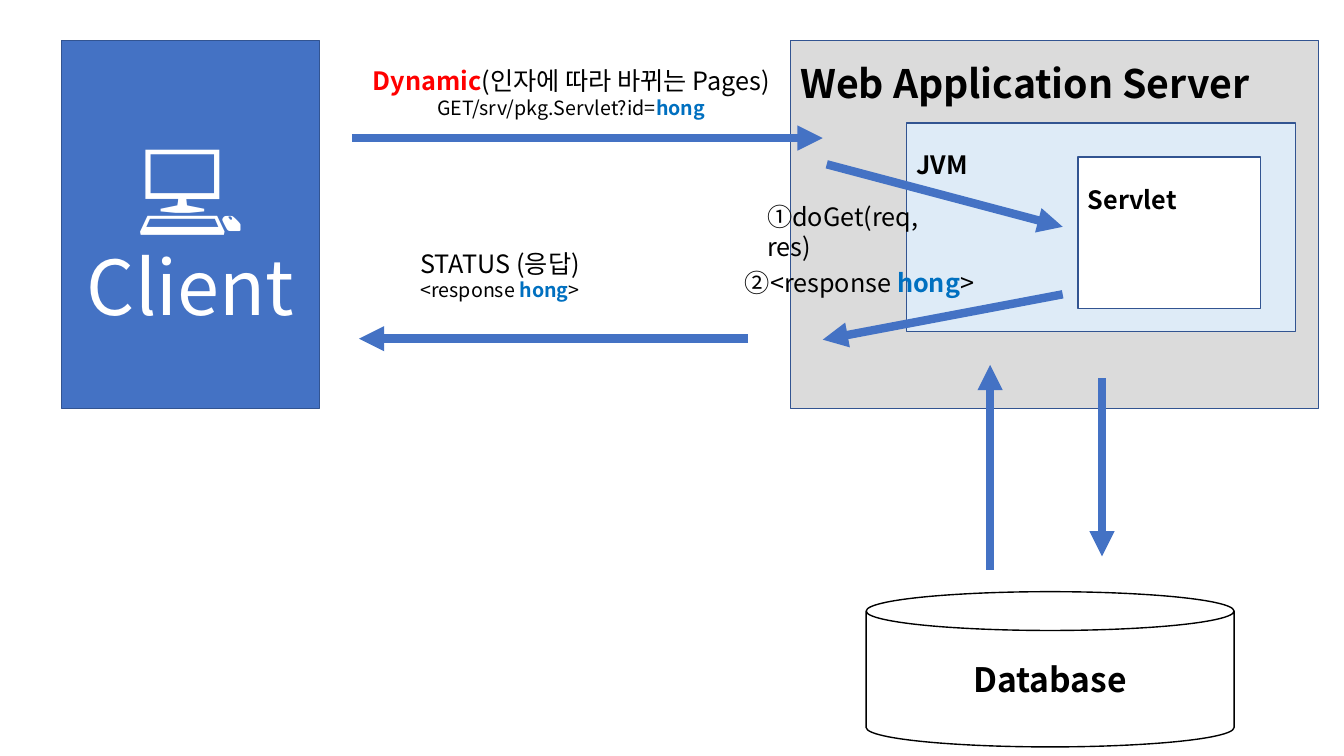
from lxml import etree
from pptx import Presentation
from pptx.dml.color import RGBColor
from pptx.enum.shapes import MSO_CONNECTOR, MSO_SHAPE
from pptx.enum.text import MSO_ANCHOR, PP_ALIGN
from pptx.oxml.ns import qn
from pptx.util import Inches, Pt

RECT, CAN = MSO_SHAPE.RECTANGLE, MSO_SHAPE.CAN
LINE = MSO_CONNECTOR.STRAIGHT
TOP, MID = MSO_ANCHOR.TOP, MSO_ANCHOR.MIDDLE
LEFT, CENTER = PP_ALIGN.LEFT, PP_ALIGN.CENTER
FONT = "Noto Sans CJK KR"
HEX = {
    "black": "000000", "white": "FFFFFF", "red": "FF0000", "link": "0070C0",
    "blue": "4472C4", "edge": "325491", "gray": "DBDBDB", "pale": "DEEBF7",
}


def color(name):
    return RGBColor.from_string(HEX[name])


def write(frame, *lines, size=18, tint="black", bold=False, align=LEFT,
          anchor=TOP, wrap=True, inset=0.05):
    frame.word_wrap = wrap
    frame.vertical_anchor = anchor
    frame.margin_top = Inches(inset)
    for i, line in enumerate(lines):
        para = frame.paragraphs[0] if i == 0 else frame.add_paragraph()
        para.alignment = align
        for text, form in line:
            run = para.add_run()
            run.text = text
            font = run.font
            font.name = FONT
            font.size = Pt(form.get("size", size))
            font.bold = form.get("bold", bold)
            font.color.rgb = color(form.get("tint", tint))
            east = etree.SubElement(run._r.get_or_add_rPr(), qn("a:ea"))
            east.set("typeface", FONT)


def block(slide, box, fill, *lines, kind=RECT, edge="edge", **form):
    shape = slide.shapes.add_shape(kind, *map(Inches, box))
    shape.shadow.inherit = False
    shape.fill.solid()
    shape.fill.fore_color.rgb = color(fill)
    shape.line.color.rgb = color(edge)
    shape.line.width = Pt(1)
    write(shape.text_frame, *lines, **form)


def label(slide, box, *lines, **form):
    shape = slide.shapes.add_textbox(*map(Inches, box))
    write(shape.text_frame, *lines, **form)


def arrow(slide, start, end):
    link = slide.shapes.add_connector(LINE, *map(Inches, start + end))
    link.line.color.rgb = color("blue")
    link.line.width = Pt(6)
    tail = etree.SubElement(link.line._get_or_add_ln(), qn("a:tailEnd"))
    tail.set("type", "triangle")
    etree.SubElement(link._element.spPr, qn("a:effectLst"))


def hong(size):
    return "hong", {"size": size, "tint": "link", "bold": True}


def client(slide, box):
    block(slide, box, "blue", [("💻", {"size": 72})], [("Client", {})],
          size=54, tint="white", align=CENTER, anchor=MID)


def server(slide, box):
    x, y, _, _ = box
    block(slide, box, "gray", [("Web Application Server", {})],
          size=28, bold=True, inset=0.19)
    block(slide, (x + 1.15, y + 0.82, 3.86, 2.07), "pale", [("JVM", {})],
          bold=True, inset=0.26)
    block(slide, (x + 2.85, y + 1.16, 1.81, 1.5), "white", [("Servlet", {})],
          bold=True, inset=0.27)
    arrow(slide, (x + 0.36, y + 1.23), (x + 2.7, y + 1.85))
    arrow(slide, (x + 2.7, y + 2.52), (x + 0.32, y + 2.97))
    label(slide, (x - 0.33, y + 1.55, 2.1, 0.4), [("①doGet(req, res)", {})])
    label(slide, (x - 0.55, y + 2.2, 2.54, 0.4),
          [("②<response ", {}), hong(18), (">", {})], wrap=False)


def traffic(slide, box):
    x, y, w, _ = box
    small = {"size": 14}
    label(slide, (x, y, w, 0.64),
          [("Dynamic", {"tint": "red", "bold": True}),
           ("(인자에 따라 바뀌는 Pages)", {})],
          [("GET/srv/pkg.Servlet?id=", small), hong(14)],
          align=CENTER, wrap=False)
    arrow(slide, (x, y + 0.77), (x + 4.67, y + 0.77))
    label(slide, (x - 0.1, y + 1.81, 3.14, 0.64),
          [("STATUS (응답)", {})],
          [("<response ", small), hong(14), (">", small)], align=CENTER)
    arrow(slide, (x + 3.93, y + 2.76), (x + 0.07, y + 2.76))


def store(slide, box):
    x, y, _, _ = box
    block(slide, box, "white", [("Database", {})], kind=CAN, edge="black",
          size=24, bold=True, align=CENTER, anchor=MID)
    arrow(slide, (x + 2.34, y - 2.12), (x + 2.34, y - 0.35))
    arrow(slide, (x + 1.23, y - 0.22), (x + 1.23, y - 2.25))


def main():
    deck = Presentation()
    deck.slide_width, deck.slide_height = Inches(13.33), Inches(7.5)
    slide = deck.slides.add_slide(deck.slide_layouts[6])
    client(slide, (0.61, 0.4, 2.56, 3.65))
    server(slide, (7.84, 0.4, 5.24, 3.65))
    traffic(slide, (3.49, 0.6, 4.35, 2.76))
    store(slide, (8.59, 5.87, 3.65, 1.54))
    deck.save("out.pptx")


if __name__ == "__main__":
    main()
